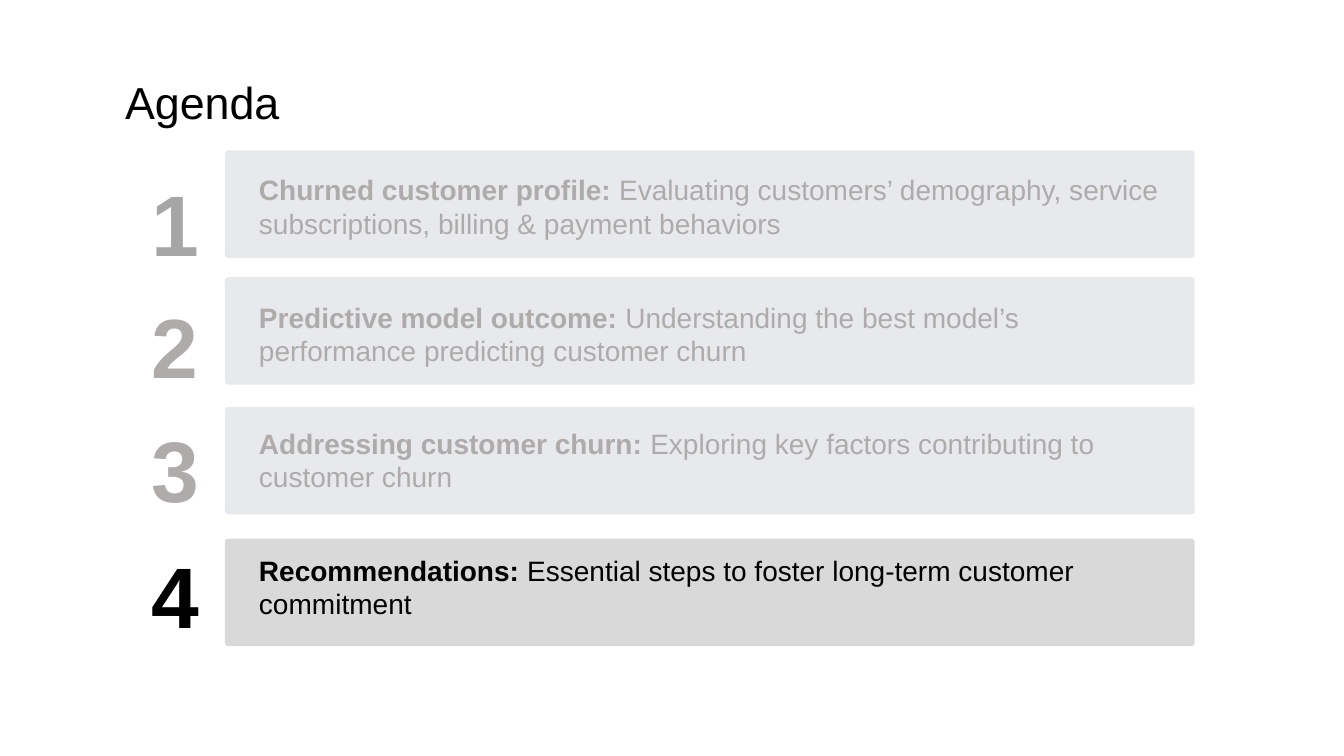
from pptx import Presentation
from pptx.dml.color import RGBColor
from pptx.enum.shapes import MSO_SHAPE
from pptx.enum.text import MSO_ANCHOR, MSO_AUTO_SIZE, PP_ALIGN
from pptx.util import Pt

ROUND = MSO_SHAPE.ROUNDED_RECTANGLE
TOP = MSO_ANCHOR.TOP
FIXED = MSO_AUTO_SIZE.NONE
LEFT, CENTER = PP_ALIGN.LEFT, PP_ALIGN.CENTER

BLACK = RGBColor(0x00, 0x00, 0x00)
MUTED = RGBColor(0xAF, 0xAB, 0xAB)
GRAY = RGBColor(0xA6, 0xA6, 0xA6)
PALE = RGBColor(0xE7, 0xE9, 0xEC)
SILVER = RGBColor(0xD9, 0xD9, 0xD9)


def write(shape, text, lead="", size=20, color=BLACK, bold=False,
          align=LEFT, line=23.3):
    """Fill a shape with one paragraph: a bold lead, then the text."""
    frame = shape.text_frame
    frame.word_wrap = True
    frame.auto_size = FIXED
    frame.vertical_anchor = TOP
    frame.margin_left = frame.margin_right = 0
    frame.margin_top = frame.margin_bottom = 0
    para = frame.paragraphs[0]
    para.alignment = align
    para.line_spacing = Pt(line)
    para.space_before = Pt(0)
    for part, heavy in ((lead, True), (text, bold)):
        if part:
            run = para.add_run()
            run.text = part
            run.font.name = "Arial"
            run.font.size = Pt(size)
            run.font.bold = heavy
            run.font.color.rgb = color


deck = Presentation()
deck.slide_width, deck.slide_height = Pt(960), Pt(540)
slide = deck.slides.add_slide(deck.slide_layouts[5])
shapes = slide.shapes

# Title
title = shapes.title
title.left, title.top = Pt(89.3), Pt(46.8)
title.width, title.height = Pt(324), Pt(42.5)
write(title, "Agenda", size=32, line=44.8)

# Agenda items: lead, text, tops of bar, text and number, line spacing,
# number size, number colour, text colour, bar colour
items = [
    ("Churned customer profile: ",
     "Evaluating customers’ demography, service subscriptions, "
     "billing & payment behaviors",
     107.5, 123.1, 109.4, 24.3, 61.3, GRAY, MUTED, PALE),
    ("Predictive model outcome: ",
     "Understanding the best model’s performance predicting customer churn",
     198, 215.3, 196.6, 23.3, 60, MUTED, MUTED, PALE),
    ("Addressing customer churn: ",
     "Exploring key factors contributing to customer churn",
     290.7, 305.3, 285.1, 23.3, 61.3, MUTED, MUTED, PALE),
    ("Recommendations: ",
     "Essential steps to foster long-term customer commitment",
     384.7, 396, 375.1, 23.3, 61.3, BLACK, BLACK, SILVER),
]

for num, item in enumerate(items, 1):
    lead, text, bar_y, text_y, num_y, line, size, tint, ink, fill = item

    # Bar
    bar = shapes.add_shape(ROUND, Pt(160.7), Pt(bar_y), Pt(692.6), Pt(76.8))
    bar.adjustments[0] = 0.03
    bar.shadow.inherit = False
    bar.fill.solid()
    bar.fill.fore_color.rgb = fill
    bar.line.fill.background()

    # Item text
    box = shapes.add_textbox(Pt(185), Pt(text_y), Pt(644.4), Pt(46.8))
    write(box, text, lead=lead, color=ink, line=line)

    # Number
    box = shapes.add_textbox(Pt(89), Pt(num_y), Pt(72), Pt(81.4))
    write(box, str(num), size=size, color=tint, bold=True,
          align=CENTER, line=85.9)

deck.save("out.pptx")
